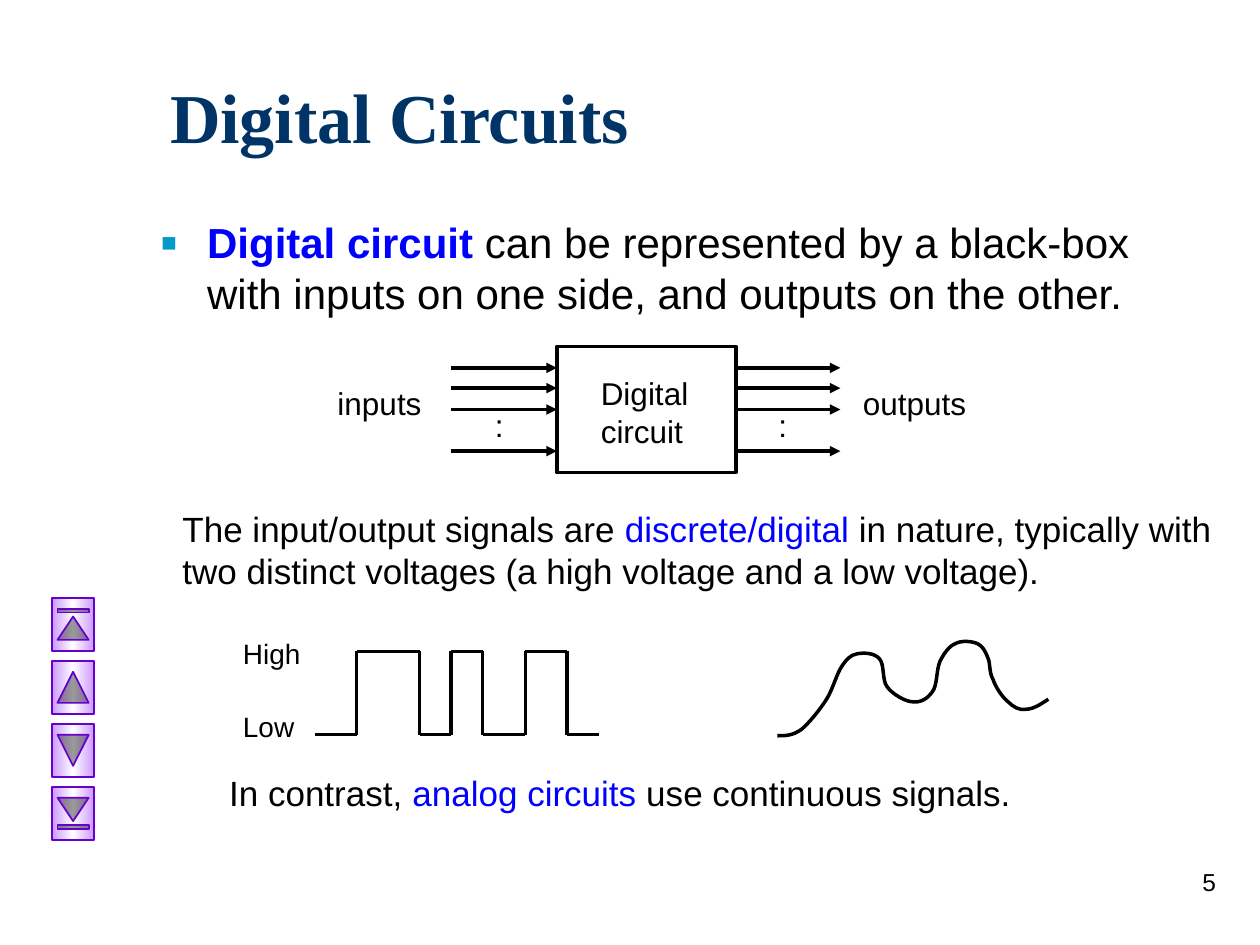
from copy import deepcopy
from itertools import pairwise
from lxml.etree import SubElement
from pptx import Presentation
from pptx.dml.color import RGBColor as RGB
from pptx.enum.shapes import MSO_CONNECTOR as LINK, MSO_SHAPE as KIND
from pptx.enum.text import MSO_ANCHOR as ANCHOR, MSO_AUTO_SIZE as FIT, PP_ALIGN as ALIGN
from pptx.oxml.ns import qn
from pptx.util import Cm, Pt

BLACK, WHITE = RGB(0, 0, 0), RGB(255, 255, 255)
BLUE, NAVY = RGB(0, 0, 255), RGB(0, 0x33, 0x66)
LILAC, PURPLE = RGB(0xCC, 0x99, 0xFF), RGB(0x66, 0, 0xCC)

TITLE = [("Digital Circuits", NAVY, True)]
BODY = [("Digital circuit", BLUE, True),
        (" can be represented by a black-box with inputs on one side, "
         "and outputs on the other.", BLACK, False)]
SIGNALS = [("The input/output signals are ", BLACK, False),
           ("discrete/digital", BLUE, False),
           (" in nature, typically with two distinct voltages "
            "(a high voltage and a low voltage).", BLACK, False)]
ANALOG = [("In contrast, ", BLACK, False), ("analog circuits", BLUE, False),
          (" use continuous signals.", BLACK, False)]
LABELS = [("Digital circuit", 18, (4.67, 2.92, 1, 0.7)),
          ("inputs", 18, (2.58, 3, 0.92, 0.4)),
          ("outputs", 18, (6.75, 3, 1.08, 0.4)),
          (":", 18, (3.83, 3.17, 0.33, 0.4)),
          (":", 18, (6.08, 3.17, 0.33, 0.4)),
          ("High", 16, (1.83, 5, 0.75, 0.37)),
          ("Low", 16, (1.83, 5.58, 0.75, 0.37))]
BOX = (4.42, 2.75, 1.42, 1)
MID = 3.25
WIRES = [2.92, 3.08, MID, 3.58]
HIGH, LOW = 5.17, 5.83
EDGES = [2.83, 3.33, 3.58, 3.83, 4.17, 4.5]
START, STOP = 2.5, 4.75
CURVE = [(6.17, 5.84), (6.23, 5.84), (6.29, 5.84), (6.36, 5.79),
         (6.42, 5.74), (6.51, 5.63), (6.56, 5.55),
         (6.61, 5.47), (6.64, 5.35), (6.68, 5.29),
         (6.72, 5.23), (6.75, 5.2), (6.8, 5.19),
         (6.85, 5.18), (6.94, 5.18), (6.98, 5.23),
         (7.02, 5.27), (7, 5.4), (7.04, 5.45),
         (7.08, 5.51), (7.19, 5.57), (7.24, 5.57),
         (7.3, 5.58), (7.36, 5.55), (7.4, 5.49),
         (7.44, 5.44), (7.43, 5.32), (7.46, 5.25),
         (7.49, 5.19), (7.53, 5.13), (7.58, 5.11),
         (7.63, 5.08), (7.72, 5.09), (7.76, 5.11),
         (7.8, 5.13), (7.82, 5.17), (7.84, 5.22),
         (7.86, 5.26), (7.85, 5.34), (7.88, 5.39),
         (7.9, 5.45), (7.95, 5.53), (8, 5.57),
         (8.04, 5.61), (8.09, 5.64), (8.14, 5.63),
         (8.2, 5.63), (8.26, 5.59), (8.32, 5.55)]
BUTTONS = [KIND.ACTION_BUTTON_BEGINNING, KIND.ACTION_BUTTON_BACK_OR_PREVIOUS,
           KIND.ACTION_BUTTON_FORWARD_OR_NEXT, KIND.ACTION_BUTTON_END]


def cm(*spans):
    return [Cm(2.54 * span) for span in spans]


def write(shape, parts, size, font="Arial", align=ALIGN.LEFT):
    frame = shape.text_frame
    frame.word_wrap = True
    frame.auto_size = FIT.NONE
    para = frame.paragraphs[0]
    para.alignment = align
    para.space_before = Pt(0)
    for text, color, bold in parts:
        run = para.add_run()
        run.text = text
        run.font.name, run.font.size = font, Pt(size)
        run.font.bold, run.font.color.rgb = bold, color
    return para


def place(shape, area):
    shape.left, shape.top, shape.width, shape.height = cm(*area)


def note(area, parts, size, align=ALIGN.LEFT):
    write(shapes.add_textbox(*cm(*area)), parts, size, align=align)


def ink(shape, color=BLACK, width=2):
    shape.line.color.rgb = color
    shape.line.width = Pt(width)


def wire(start, end, arrow=False):
    link = shapes.add_connector(LINK.STRAIGHT, *cm(*start, *end))
    ink(link)
    if arrow:
        SubElement(link.line._get_or_add_ln(), qn("a:tailEnd"), type="triangle")
    SubElement(link._element.spPr, qn("a:effectLst"))
    return link


deck = Presentation()
deck.slide_width, deck.slide_height = cm(10, 7.5)
slide = deck.slides.add_slide(deck.slide_layouts[1])
shapes = slide.shapes

title, body = slide.placeholders
place(title, (1.25, 0.5, 8.5, 0.83))
write(title, TITLE, 40, "Times New Roman")
title.text_frame.vertical_anchor = ANCHOR.MIDDLE

place(body, (1.17, 1.67, 8.5, 1.1))
props = write(body, BODY, 24)._p.get_or_add_pPr()
hang = Cm(0.95)
props.set("marL", str(hang))
props.set("indent", str(-hang))
SubElement(SubElement(props, qn("a:buClr")), qn("a:srgbClr"), val="0099CC")
SubElement(props, qn("a:buSzPct"), val="120000")
SubElement(props, qn("a:buChar"), char="▪")

note((1.35, 3.98, 8.5, 0.94), SIGNALS, 20)
note((1.72, 6.07, 6.95, 0.6), ANALOG, 20)

box = shapes.add_shape(KIND.RECTANGLE, *cm(*BOX))
box.shadow.inherit = False
box.fill.background()
ink(box)
for y in WIRES:
    entry = wire((3.58, y), (4.42, y), True)
    leave = wire((5.83, y), (6.67, y), True)
    if y == MID:
        entry.end_connect(box, 1)
        leave.begin_connect(box, 3)
for text, size, area in LABELS:
    note(area, [(text, BLACK, False)], size)

wave, level = [(START, LOW)], LOW
for x in EDGES:
    wave.append((x, level))
    level = HIGH + LOW - level
    wave.append((x, level))
wave.append((STOP, LOW))
for start, end in pairwise(wave):
    wire(start, end)

dots = [cm(*dot) for dot in CURVE]
pen = shapes.build_freeform(*dots[0])
pen.add_line_segments(dots[1:], close=False)
curve = pen.convert_to_shape()
curve.shadow.inherit = False
curve.fill.background()
ink(curve)
trace = next(curve._element.iter(qn("a:path")))
steps = trace.findall(qn("a:lnTo"))
for i in range(0, len(steps), 3):
    bend = SubElement(trace, qn("a:cubicBezTo"))
    for step in steps[i:i + 3]:
        bend.append(step[0])
        trace.remove(step)

for i, kind in enumerate(BUTTONS):
    key = shapes.add_shape(kind, *cm(0.37, 4.79 + 0.5 * i, 0.42, 0.33))
    key.rotation = 90
    key.shadow.inherit = False
    key.fill.gradient()
    key.fill.gradient_angle = 90
    stops = next(key._element.iter(qn("a:gsLst")))
    stops.insert(1, deepcopy(stops[0]))
    for stop, spot, color in zip(key.fill.gradient_stops, (0, 0.5, 1), (LILAC, WHITE, LILAC)):
        stop.position, stop.color.rgb = spot, color
    ink(key, PURPLE, 1)

note((7.67, 6.83, 2.08, 0.5), [("5", BLACK, False)], 14, ALIGN.RIGHT)

deck.save("out.pptx")
